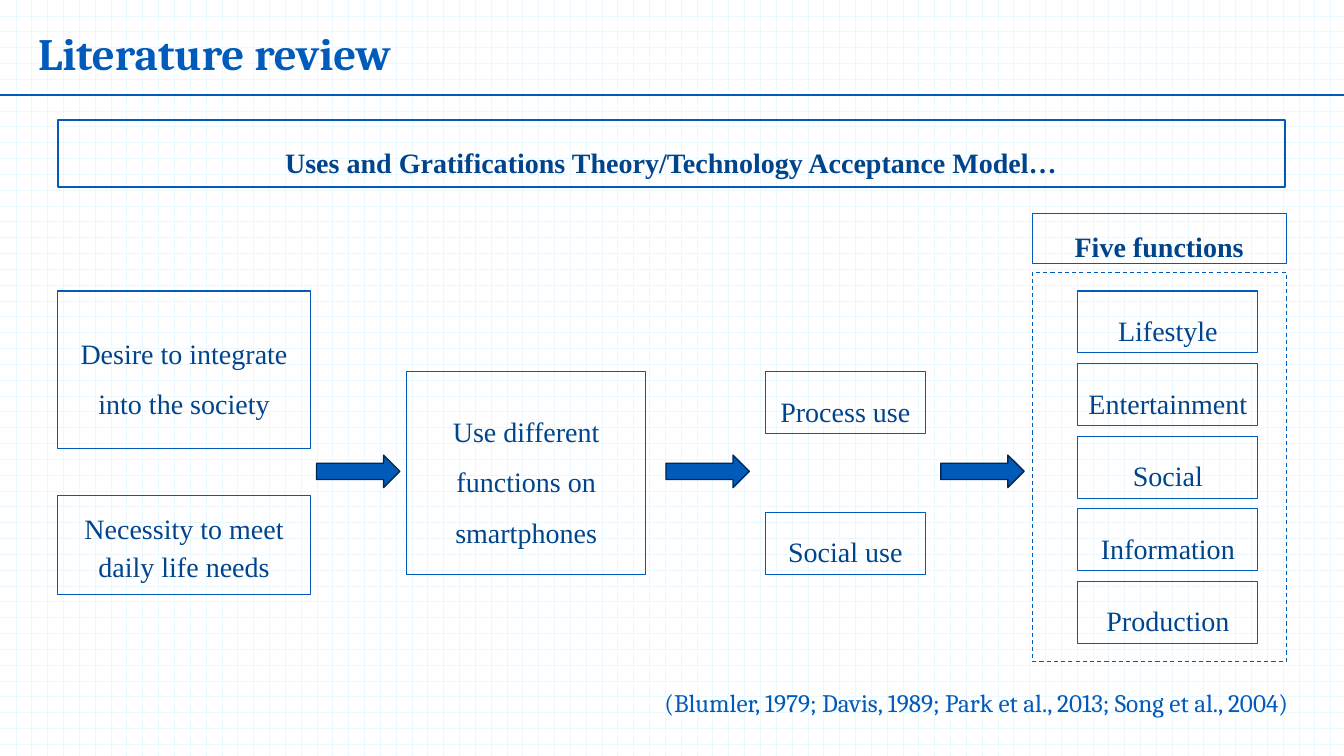
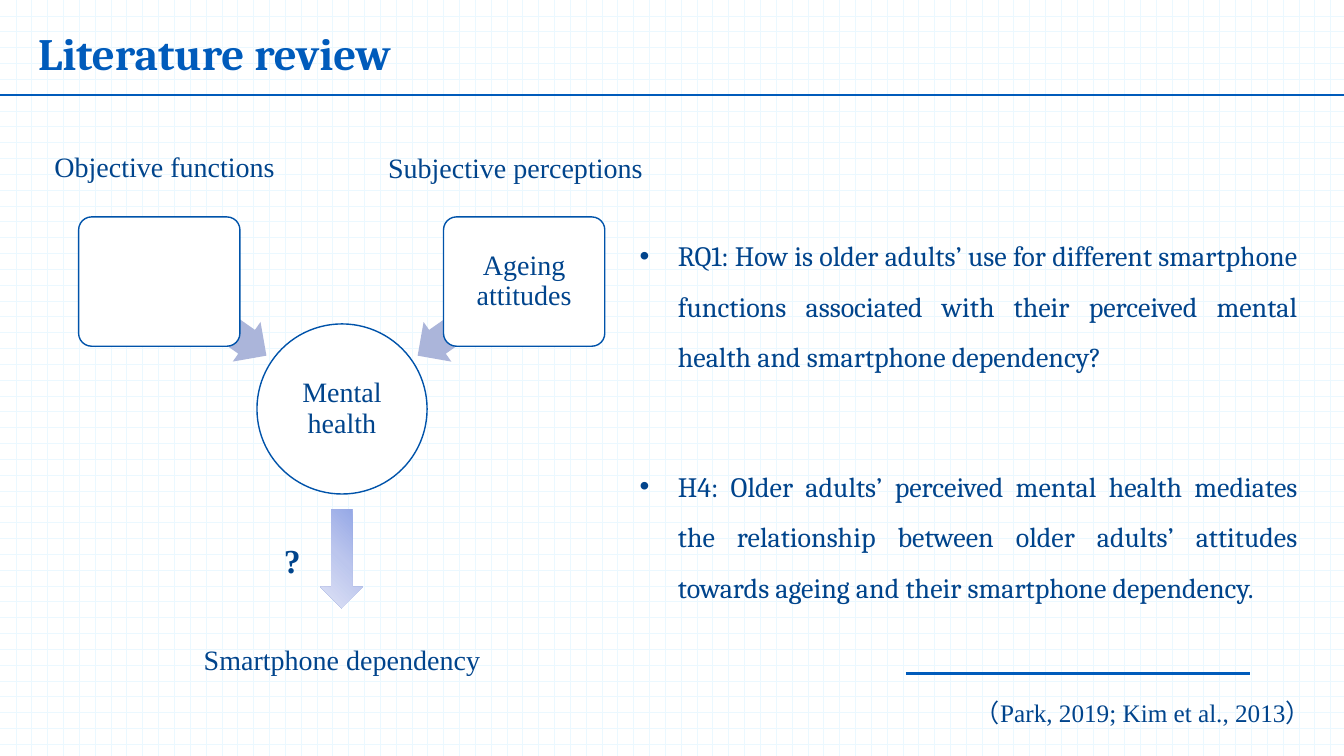
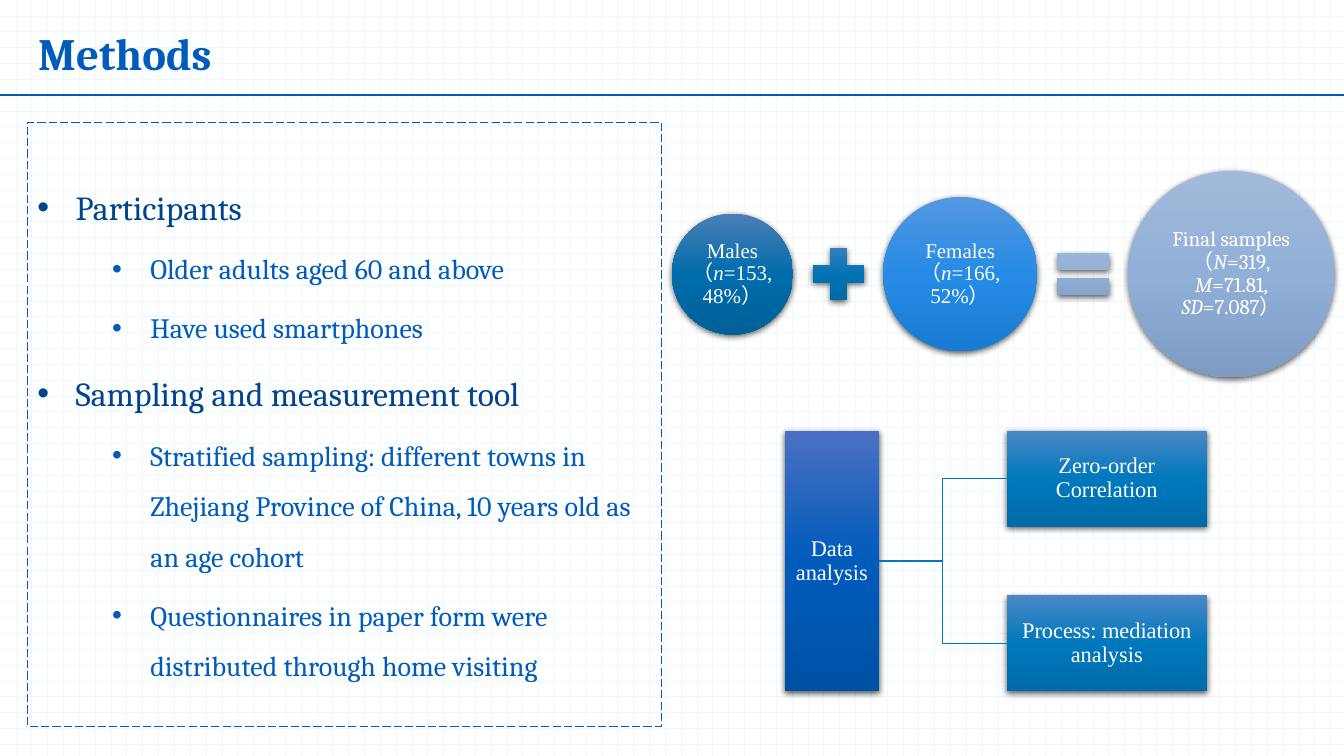
import copy

import pptx
import pptx.util
import pptx.dml.color
import pptx.enum.dml
import pptx.enum.shapes
import pptx.enum.text
import pptx.oxml.ns
from lxml import etree

WIDTH, HEIGHT = 13.33, 7.5
SERIF, HEADING = "Times New Roman", "Cambria"
COLORS = {
    "blue": "005BBB", "navy": "00448C", "edge": "002852", "outline": "0053AA",
    "grid": "EBF8FF", "white": "FFFFFF", "lilac": "ABB5DA", "branch": "0078BD",
    "black": "000000",
}
GRADIENTS = {
    "fade": ("8FA3E5", "BCC6ED", "DFE3F6"),
    "males": ("4B7EB5", "006DAC", "006198"),
    "plus": ("4B83BD", "0073B5", "0066A0"),
    "females": ("5597E1", "268BE4", "187CD5"),
    "total": ("A2B9DA", "92B0D7", "7E9BC3"),
    "root": ("4B70C3", "005BBB", "0051A6"),
    "leaf": ("4B88C5", "0078BD", "006BA8"),
}
SHAPE = pptx.enum.shapes.MSO_SHAPE
CONNECTOR = pptx.enum.shapes.MSO_CONNECTOR
DASH = pptx.enum.dml.MSO_LINE
ALIGN = pptx.enum.text.PP_ALIGN
ANCHOR = pptx.enum.text.MSO_ANCHOR
qn = pptx.oxml.ns.qn


# Units: positions and sizes are percentages of the slide
def across(share):
    return pptx.util.Inches(WIDTH * share / 100)


def down(share):
    return pptx.util.Inches(HEIGHT * share / 100)


def place(x, y, w, h):
    return across(x), down(y), across(w), down(h)


def rgb(name):
    return pptx.dml.color.RGBColor.from_string(COLORS.get(name, name))


# Text
def write(shape, text, size=20, font=SERIF, color="navy", bold=False,
          align=ALIGN.CENTER, spacing=1.5, after=6, anchor=ANCHOR.MIDDLE,
          inset=None, bullet_at=None, level=0):
    """Add a paragraph; text is a string or a list of (string, italic)."""
    frame = shape.text_frame
    frame.word_wrap = True
    frame.vertical_anchor = anchor
    if inset is not None:
        frame.margin_left = frame.margin_right = pptx.util.Inches(inset)
        frame.margin_top = frame.margin_bottom = pptx.util.Inches(inset)
    paragraph = frame.add_paragraph() if frame.text else frame.paragraphs[0]
    paragraph.alignment = align
    paragraph.line_spacing = spacing
    paragraph.space_after = pptx.util.Pt(after)
    paragraph.level = level
    if bullet_at is not None:
        props = paragraph._p.get_or_add_pPr()
        props.set("marL", str(pptx.util.Inches(bullet_at)))
        props.set("indent", str(pptx.util.Inches(-0.38)))
        etree.SubElement(props, qn("a:buFont"), typeface="Arial")
        etree.SubElement(props, qn("a:buChar"), char="•")
    for words, italic in [(text, False)] if isinstance(text, str) else text:
        run = paragraph.add_run()
        run.text = words
        run.font.size = pptx.util.Pt(size)
        run.font.name = font
        run.font.bold = bold
        run.font.italic = italic
        run.font.color.rgb = rgb(color)
    return shape


def label(slide, area, text, **style):
    return write(slide.shapes.add_textbox(*place(*area)), text, **style)


# Shapes
def fill_gradient(shape, hues, angle):
    shape.fill.gradient()
    shape.fill.gradient_angle = 360 - angle
    stop_list = shape._element.spPr.find(qn("a:gradFill")).find(qn("a:gsLst"))
    stop_list.append(copy.deepcopy(stop_list[-1]))
    for stop, hue, position in zip(shape.fill.gradient_stops, hues, (0, 0.5, 1)):
        stop.color.rgb = rgb(hue)
        stop.position = position


def cast_shadow(shape):
    effects = shape._element.spPr.find(qn("a:effectLst"))
    shadow = etree.SubElement(
        effects, qn("a:outerShdw"), blurRad=str(pptx.util.Pt(4.5)),
        dist=str(pptx.util.Pt(1.5)), dir="5400000", algn="ctr", rotWithShape="0")
    tone = etree.SubElement(shadow, qn("a:srgbClr"), val=COLORS["black"])
    etree.SubElement(tone, qn("a:alpha"), val="63000")


def draw(slide, kind, area, fill=None, line=None, weight=0.75, dash=None,
         gradient=None, angle=90, shadow=False, rotation=0, adjust=()):
    shape = slide.shapes.add_shape(kind, *place(*area))
    shape.shadow.inherit = False
    shape.rotation = rotation
    for index, value in enumerate(adjust):
        shape.adjustments[index] = value
    if gradient:
        fill_gradient(shape, GRADIENTS[gradient], angle)
    elif fill:
        shape.fill.solid()
        shape.fill.fore_color.rgb = rgb(fill)
    else:
        shape.fill.background()
    if line:
        shape.line.color.rgb = rgb(line)
        shape.line.width = pptx.util.Pt(weight)
        if dash:
            shape.line.dash_style = dash
    else:
        shape.line.fill.background()
    if shadow:
        cast_shadow(shape)
    return shape


def box(slide, area, text, weight=0.75, **style):
    frame = draw(slide, SHAPE.RECTANGLE, area, line="blue", weight=weight)
    return write(frame, text, **style)


def round_area(x, y, size):
    """Square area around a centre; size is a share of the slide's height."""
    width = size * HEIGHT / WIDTH
    return x - width / 2, y - size / 2, width, size


def node(shape, text, size=20, color="navy", inset=0.01, font=SERIF):
    return write(shape, text, size=size, color=color, inset=inset, font=font,
                 spacing=0.9, after=0.35 * size)


def connect(slide, start, end, color="blue", weight=1.5, kind=CONNECTOR.STRAIGHT):
    link = slide.shapes.add_connector(
        kind, across(start[0]), down(start[1]), across(end[0]), down(end[1]))
    link.line.color.rgb = rgb(color)
    link.line.width = pptx.util.Pt(weight)
    etree.SubElement(link._element.spPr, qn("a:effectLst"))
    return link


# Shared look
def set_background(deck):
    fill = deck.slide_master.background.fill
    fill.patterned()
    fill.pattern = pptx.enum.dml.MSO_PATTERN.DOTTED_GRID
    fill.fore_color.rgb = rgb("grid")
    fill.back_color.rgb = rgb("white")


def new_slide(deck, title):
    slide = deck.slides.add_slide(deck.slide_layouts[6])
    connect(slide, (0, 12.55), (100, 12.55))
    label(slide, (2.1, 1.3, 78.5, 11.3), title, size=32, font=HEADING,
          color="blue", bold=True, align=ALIGN.LEFT, spacing=1, after=0)
    return slide


# Slide 1: theory model
def build_theory(deck):
    slide = new_slide(deck, "Literature review")
    box(slide, (4.3, 15.9, 91.3, 8.8),
        "Uses and Gratifications Theory/Technology Acceptance Model…",
        weight=1.5, bold=True)
    # The low box takes tighter lines so that both stay inside it
    box(slide, (4.3, 65.5, 18.8, 13.1), "Necessity to meet daily life needs",
        spacing=1.15, after=4)
    stages = [
        ((4.3, 38.5, 18.8, 20.8), "Desire to integrate into the society"),
        ((30.25, 49.2, 17.8, 26.8), "Use different functions on smartphones"),
        ((56.95, 49.2, 11.9, 8.2), "Process use"),
        ((56.95, 67.75, 11.9, 8.2), "Social use"),
    ]
    for area, text in stages:
        box(slide, area, text)
    for x in (23.55, 49.55, 70):
        draw(slide, SHAPE.RIGHT_ARROW, (x, 60.2, 6.2, 4.3),
             fill="blue", line="edge", weight=1)

    # Five functions
    box(slide, (76.8, 28.2, 18.9, 6.6), "Five functions", bold=True)
    draw(slide, SHAPE.RECTANGLE, (76.8, 36, 18.9, 51.5), line="blue", dash=DASH.DASH)
    functions = ("Lifestyle", "Entertainment", "Social", "Information", "Production")
    for row, name in enumerate(functions):
        box(slide, (80.2, 38.5 + 9.6 * row, 13.4, 8.2), name)
    label(slide, (46.7, 90.2, 51.9, 5.4),
          "(Blumler, 1979; Davis, 1989; Park et al., 2013; Song et al., 2004)",
          size=18, font=HEADING, color="blue", spacing=1, after=0, anchor=ANCHOR.TOP)


# Slide 2: research question and hypothesis
def build_questions(deck):
    slide = new_slide(deck, "Literature review")
    connect(slide, (67.4, 89.1), (93, 89.1), weight=2.25)
    questions = [
        (28.7, "RQ1: How is older adults’ use for different smartphone functions "
               "associated with their perceived mental health and smartphone dependency?"),
        (59.2, "H4: Older adults’ perceived mental health mediates the relationship "
               "between older adults’ attitudes towards ageing and their smartphone "
               "dependency."),
    ]
    for y, text in questions:
        label(slide, (46.85, y, 50.45, 24), text, font=HEADING, align=ALIGN.JUSTIFY,
              anchor=ANCHOR.TOP, bullet_at=0.38)

    # Converging diagram
    for arrow_x, rotation, card_x, text in ((11, 215, 5.85, ""),
                                            (30.2, 325, 33, "Ageing attitudes")):
        draw(slide, SHAPE.LEFT_ARROW, (arrow_x, 38.9, 9.7, 6.4), fill="lilac",
             rotation=rotation, adjust=(0.6, 0.5))
        card = draw(slide, SHAPE.ROUNDED_RECTANGLE, (card_x, 28.7, 12, 17.1),
                    fill="white", line="outline", weight=1, adjust=(0.1,))
        if text:
            node(card, text, inset=0.04)
    health = draw(slide, SHAPE.OVAL, round_area(25.45, 54.1, 22.5),
                  fill="white", line="outline", weight=1)
    node(health, "Mental health")
    draw(slide, SHAPE.DOWN_ARROW, (23.85, 67.35, 3.15, 13.1), gradient="fade", angle=135)
    label(slide, (0, 16.25, 24.5, 9.2), "Objective functions")
    label(slide, (26.1, 16.4, 24.5, 9.2), "Subjective perceptions")
    label(slide, (13.2, 78.3, 24.5, 15.7), "Smartphone dependency")
    label(slide, (14.55, 64.9, 14.4, 15.7), "?", size=24, bold=True)
    label(slide, (71, 90.15, 28.1, 6.1), "（Park, 2019; Kim et al., 2013）", size=18)


# Slide 3: methods
def build_methods(deck):
    slide = new_slide(deck, "Methods")
    outline = draw(slide, SHAPE.RECTANGLE, (2.05, 16.15, 47.15, 79.9),
                   line="blue", dash=DASH.LONG_DASH)
    topics = {
        "Participants": ("Older adults aged 60 and above", "Have used smartphones"),
        "Sampling and measurement tool": (
            "Stratified sampling: different towns in Zhejiang Province of China, "
            "10 years old as an age cohort",
            "Questionnaires in paper form were distributed through home visiting"),
    }
    for topic, details in topics.items():
        write(outline, topic, size=24, font=HEADING, align=ALIGN.LEFT, bullet_at=0.38)
        for detail in details:
            write(outline, detail, font=HEADING, color="blue", align=ALIGN.LEFT,
                  bullet_at=1.12, level=1)

    # Sample equation
    samples = [
        (54.5, 16, "males", SERIF,
         [("Males（", False), ("n", True), ("=153, 48%）", False)]),
        (71.45, 20.4, "females", SERIF,
         [("Females（", False), ("n", True), ("=166, 52%）", False)]),
        (91.6, 27.3, "total", HEADING,
         [("Final samples（", False), ("N", True), ("=319, ", False), ("M", True),
          ("=71.81, ", False), ("SD", True), ("=7.087）", False)]),
    ]
    middle = 36.25
    for x, size, gradient, font, text in samples:
        group = draw(slide, SHAPE.OVAL, round_area(x, middle, size),
                     gradient=gradient, shadow=True)
        node(group, text, size=15, color="white", inset=0.02, font=font)
    for x, sign, gradient in ((62.4, SHAPE.MATH_PLUS, "plus"),
                              (80.6, SHAPE.MATH_EQUAL, "total")):
        draw(slide, sign, round_area(x, middle, 9.3), gradient=gradient, shadow=True)

    # Analysis tree
    top, height, leaf_height = 56.95, 34.5, 12.7
    root = draw(slide, SHAPE.RECTANGLE, (58.4, top, 7, height),
                gradient="root", shadow=True)
    node(root, "Data analysis", size=16, color="white")
    for y, text in ((top, "Zero-order Correlation"),
                    (top + height - leaf_height, "Process: mediation analysis")):
        leaf = draw(slide, SHAPE.RECTANGLE, (74.9, y, 14.9, leaf_height),
                    gradient="leaf", shadow=True)
        node(leaf, text, size=16, color="white")
        branch = connect(slide, (65.4, top + height / 2), (74.9, y + leaf_height / 2),
                         color="branch", weight=1, kind=CONNECTOR.ELBOW)
        branch.begin_connect(root, 3)
        branch.end_connect(leaf, 1)


def main():
    deck = pptx.Presentation()
    deck.slide_width = pptx.util.Inches(WIDTH)
    deck.slide_height = pptx.util.Inches(HEIGHT)
    set_background(deck)
    build_theory(deck)
    build_questions(deck)
    build_methods(deck)
    deck.save("out.pptx")


if __name__ == "__main__":
    main()
